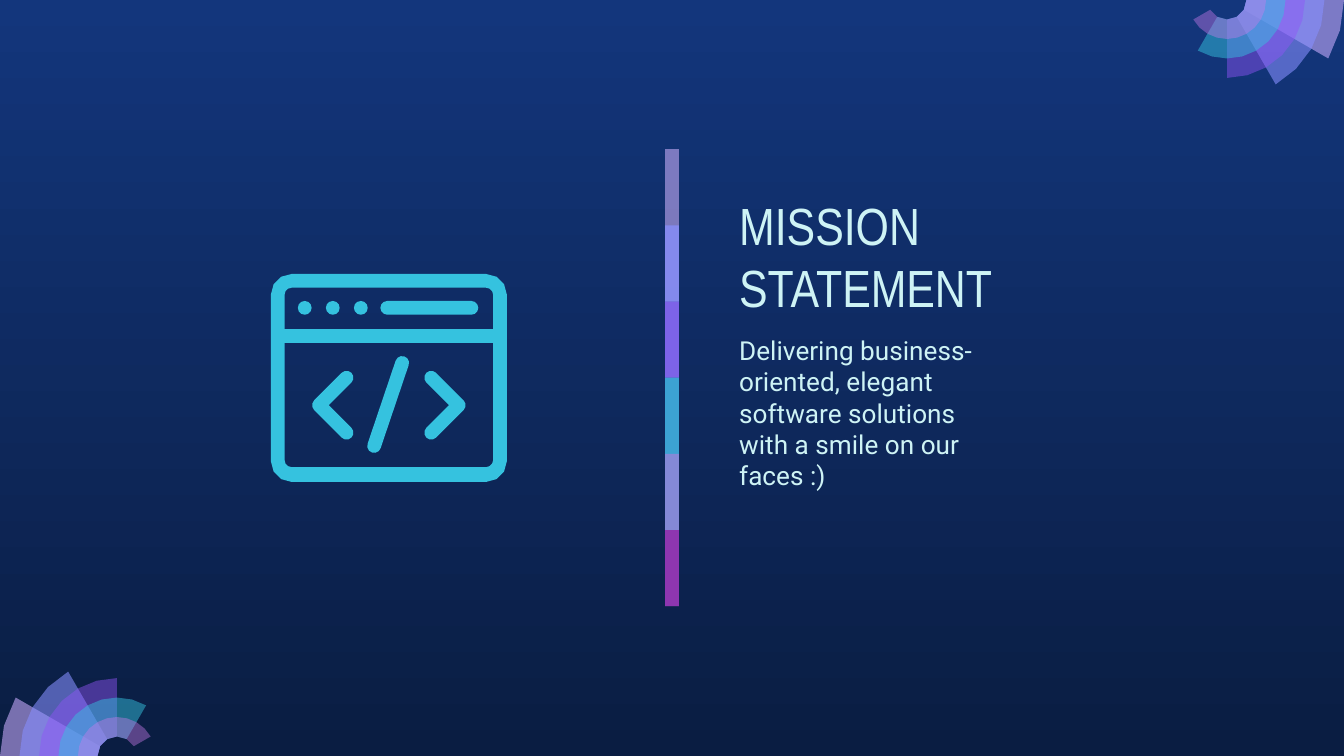
from math import atan2, cos, degrees, radians, sin, sqrt

from pptx import Presentation
from pptx.dml.color import RGBColor
from pptx.enum.shapes import MSO_SHAPE
from pptx.enum.text import MSO_ANCHOR, MSO_AUTO_SIZE, PP_ALIGN
from pptx.oxml.ns import qn
from pptx.util import Cm, Pt

RECTANGLE = MSO_SHAPE.RECTANGLE
OVAL = MSO_SHAPE.OVAL
LEFT = PP_ALIGN.LEFT
TOP = MSO_ANCHOR.TOP
BOTTOM = MSO_ANCHOR.BOTTOM
NO_AUTOFIT = MSO_AUTO_SIZE.NONE

PAGE_WIDTH, PAGE_HEIGHT = 25.4, 14.29
NIGHT = ("13367C", "0A1D42")
PALE = "CEF3F5"
CYAN = "35C2DF"

FAN_RADIUS = 2.21
FAN_BANDS = [
    ("C8ACFD", 58),
    ("878FFF", 58),
    ("9154F8", 46),
    (CYAN, 49),
    ("CA7BEB", 42),
]
DIVIDER_BANDS = [
    ("C8AEF8", 59),
    ("878FFF", 74),
    ("9154F8", 53),
    (CYAN, 76),
    ("CA7BEB", 56),
    ("972CB4", 74),
]
STROKE_RADIUS = 0.13


def color(value):
    return RGBColor.from_string(value)


def paint(shape, value, opacity=100):
    shape.shadow.inherit = False
    shape.line.fill.background()
    shape.fill.solid()
    shape.fill.fore_color.rgb = color(value)
    if opacity < 100:
        tint = shape.element.spPr.find(qn("a:solidFill"))[0]
        alpha = tint.makeelement(qn("a:alpha"), {"val": str(opacity * 1000)})
        tint.append(alpha)


def add_preset(group, kind, left, top, width, height, value, opacity=100):
    shape = group.shapes.add_shape(kind, Cm(left), Cm(top), Cm(width), Cm(height))
    paint(shape, value, opacity)


def add_outline(group, contours, value, opacity=100):
    scaled = [[(Cm(x), Cm(y)) for x, y in contour] for contour in contours]
    builder = group.shapes.build_freeform(*scaled[0][0], scale=1.0)
    builder.add_line_segments(scaled[0][1:], close=True)
    for contour in scaled[1:]:
        builder.move_to(*contour[0])
        builder.add_line_segments(contour[1:], close=True)
    paint(builder.convert_to_shape(), value, opacity)


def arc(x, y, radius, start, end, step=30):
    if radius == 0:
        return [(x, y)]
    count = round(abs(end - start) / step)
    angles = [radians(start + (end - start) * i / count) for i in range(count + 1)]
    return [(x + radius * cos(a), y + radius * sin(a)) for a in angles]


def rounded_box(left, top, right, bottom, top_radius, bottom_radius):
    corners = [
        (left + top_radius, top + top_radius, top_radius, 180),
        (right - top_radius, top + top_radius, top_radius, 270),
        (right - bottom_radius, bottom - bottom_radius, bottom_radius, 0),
        (left + bottom_radius, bottom - bottom_radius, bottom_radius, 90),
    ]
    return [point for x, y, radius, start in corners
            for point in arc(x, y, radius, start, start + 90)]


def capsule(x1, y1, x2, y2):
    angle = degrees(atan2(y2 - y1, x2 - x1))
    return (arc(x1, y1, STROKE_RADIUS, angle + 90, angle + 270)
            + arc(x2, y2, STROKE_RADIUS, angle - 90, angle + 90))


def chevron(x, y, reach):
    tip = x + reach
    return (arc(x, y - reach, STROKE_RADIUS, 135, 315)
            + arc(tip, y, STROKE_RADIUS, -45, 45)
            + arc(x, y + reach, STROKE_RADIUS, 45, 225)
            + [(tip - STROKE_RADIUS * sqrt(2), y)])


def add_code_window(page):
    group = page.shapes.add_group_shape()
    frame = [
        rounded_box(5.12, 5.18, 9.58, 9.11, 0.39, 0.39),
        rounded_box(5.38, 5.44, 9.32, 6.22, 0.13, 0),
        rounded_box(5.38, 6.48, 9.32, 8.83, 0, 0.13),
    ]
    add_outline(group, frame, CYAN)
    for i in range(3):
        add_preset(group, OVAL, 5.63 + 0.53 * i, 5.69, 0.26, 0.26, CYAN)
    right = chevron(8.15, 7.66, 0.52)
    left = [(14.7 - x, y) for x, y in right]
    for mark in (capsule(7.32, 5.82, 8.91, 5.82), right, left,
                 capsule(7.07, 8.43, 7.6, 6.86)):
        add_outline(group, [mark], CYAN)


def add_fan(page, x, y, start):
    group = page.shapes.add_group_shape()
    ring = FAN_RADIUS / 6
    for i, (value, opacity) in enumerate(FAN_BANDS):
        end = start + 30 * (i + 1)
        outer = arc(x, y, FAN_RADIUS - ring * i, start, end, step=15)
        inner = arc(x, y, ring, end, start)
        add_outline(group, [outer + inner], value, opacity)


def add_divider(page):
    group = page.shapes.add_group_shape()
    step = 1.44
    last = len(DIVIDER_BANDS) - 1
    for i, (value, opacity) in enumerate(DIVIDER_BANDS):
        height = step if i == last else 2 * step
        add_preset(group, RECTANGLE, 12.57, 2.82 + step * i, 0.26, height, value, opacity)


def write(box, text, *, left, top, width, height, font, size, anchor):
    box.left, box.top, box.width, box.height = Cm(left), Cm(top), Cm(width), Cm(height)
    frame = box.text_frame
    frame.word_wrap = True
    frame.auto_size = NO_AUTOFIT
    frame.vertical_anchor = anchor
    frame.margin_left = frame.margin_right = Cm(0.25)
    frame.margin_top = frame.margin_bottom = Cm(0.25)
    para = frame.paragraphs[0]
    para.alignment = LEFT
    para.space_before = Pt(0)
    properties = para._p.get_or_add_pPr()
    properties.set("marL", "0")
    properties.set("indent", "0")
    properties.append(properties.makeelement(qn("a:buNone"), {}))
    span = para.add_run()
    span.text = text
    span.font.name = font
    span.font.size = Pt(size)
    span.font.color.rgb = color(PALE)


def set_background(page):
    fill = page.background.fill
    fill.gradient()
    fill.gradient_angle = 270
    for stop, value in zip(fill.gradient_stops, NIGHT):
        stop.color.rgb = color(value)


def main():
    deck = Presentation()
    deck.slide_width, deck.slide_height = Cm(PAGE_WIDTH), Cm(PAGE_HEIGHT)
    page = deck.slides.add_slide(deck.slide_layouts[1])
    set_background(page)
    write(page.shapes.title, "MISSION STATEMENT", left=13.72, top=3.58, width=5.28,
          height=2.69, font="Arial Narrow", size=28, anchor=BOTTOM)
    write(page.placeholders[1],
          "Delivering business-oriented, elegant software solutions with a smile on our faces :)",
          left=13.72, top=6.07, width=5.28, height=5, font="Roboto", size=14, anchor=TOP)
    add_code_window(page)
    add_fan(page, FAN_RADIUS, PAGE_HEIGHT, 180)
    add_fan(page, PAGE_WIDTH - FAN_RADIUS, 0, 0)
    add_divider(page)
    deck.save("out.pptx")


if __name__ == "__main__":
    main()
